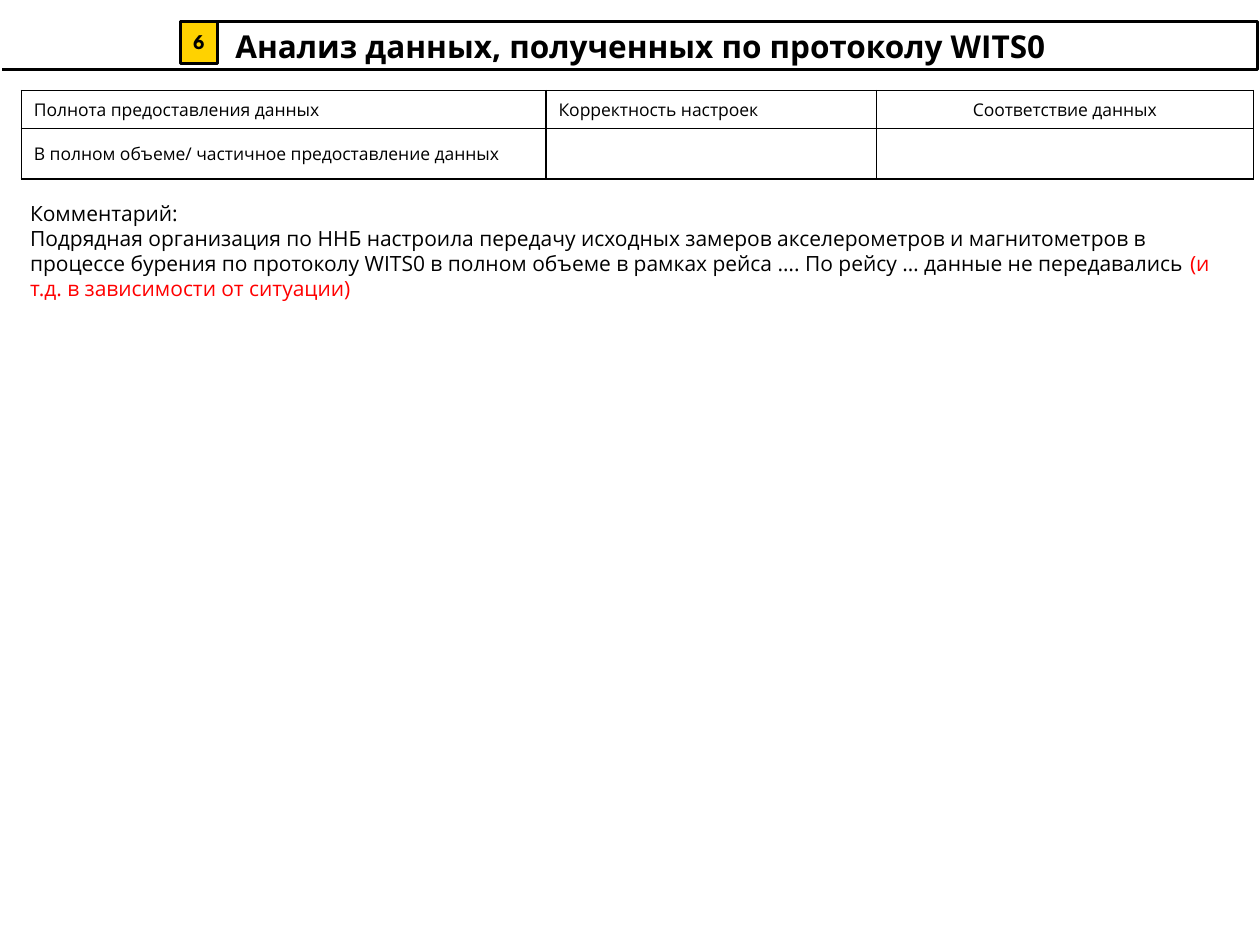
from lxml import etree
from pptx import Presentation
from pptx.dml.color import RGBColor
from pptx.enum.shapes import MSO_SHAPE
from pptx.enum.text import MSO_ANCHOR, MSO_AUTO_SIZE, PP_ALIGN
from pptx.oxml.ns import qn
from pptx.util import Pt

LEFT, MID, JUST = PP_ALIGN.LEFT, PP_ALIGN.CENTER, PP_ALIGN.JUSTIFY
BLACK, RED, GOLD = "000000", "FF0000", "FFD200"

NUMBER = "6"
TITLE = "Анализ данных, полученных по протоколу WITS0"
ROWS = [
    ["Полнота предоставления данных", "Корректность настроек", "Соответствие данных"],
    ["В полном объеме/ частичное предоставление данных", "", ""],
]
ALIGNS = [LEFT, LEFT, MID]
WIDTHS = [299.8, 188.8, 215.4]
ROW_H = 21.6
NOTE = [
    [("Комментарий:", BLACK)],
    [("Подрядная организация по ННБ настроила передачу исходных замеров "
      "акселерометров и магнитометров в процессе бурения по протоколу WITS0 "
      "в полном объеме в рамках рейса …. По рейсу … данные не передавались ", BLACK),
     ("(и т.д. в зависимости от ситуации)", RED)],
]
FRAME = [(103, 12.2), (718.6, 12.2), (718.6, 39.6), (1.4, 39.6)]


def color(code):
    return RGBColor.from_string(code)


def write(frame, paras, size=12, font="Open Sans", bold=False, align=LEFT):
    """Fill a text frame with paragraphs, each a list of (text, colour) runs."""
    frame.word_wrap = True
    for i, runs in enumerate(paras):
        para = frame.add_paragraph() if i else frame.paragraphs[0]
        para.alignment = align
        for text, code in runs:
            run = para.add_run()
            run.text = text
            run.font.size, run.font.name, run.font.bold = Pt(size), font, bold
            run.font.color.rgb = color(code)


def outline(shape):
    shape.shadow.inherit = False
    shape.line.color.rgb = color(BLACK)
    shape.line.width = Pt(1.5)


def border(cell):
    props = cell._tc.get_or_add_tcPr()
    for i, side in enumerate(("a:lnL", "a:lnR", "a:lnT", "a:lnB")):
        line = etree.Element(qn(side), w=str(Pt(1)))
        fill = etree.SubElement(line, qn("a:solidFill"))
        etree.SubElement(fill, qn("a:srgbClr"), val=BLACK)
        props.insert(i, line)


def box(shapes, left, top, width, height):
    return shapes.add_textbox(Pt(left), Pt(top), Pt(width), Pt(height)).text_frame


def header(shapes):
    points = [(Pt(x), Pt(y)) for x, y in FRAME]
    build = shapes.build_freeform(*points[0])
    build.add_line_segments(points[1:], close=False)
    frame = build.convert_to_shape()
    frame.fill.background()
    outline(frame)

    badge = shapes.add_shape(MSO_SHAPE.RECTANGLE, Pt(103), Pt(12.2), Pt(21.4), Pt(24))
    badge.fill.solid()
    badge.fill.fore_color.rgb = color(GOLD)
    outline(badge)
    text = badge.text_frame
    text.margin_left = text.margin_right = text.margin_bottom = Pt(1.4)
    text.margin_top = 0
    text.vertical_anchor = MSO_ANCHOR.MIDDLE
    write(text, [[(NUMBER, BLACK)]], font="League Spartan", bold=True, align=MID)

    title = box(shapes, 127.4, 14.4, 589, 23.8)
    title.vertical_anchor = MSO_ANCHOR.MIDDLE
    write(title, [[(TITLE, BLACK)]], size=18, bold=True)


def grid(shapes):
    table = shapes.add_table(len(ROWS), len(WIDTHS), Pt(12.2), Pt(51.8),
                             Pt(sum(WIDTHS)), Pt(ROW_H * len(ROWS))).table
    table.first_row = table.horz_banding = False
    for col, width in zip(table.columns, WIDTHS):
        col.width = Pt(width)
    for r, texts in enumerate(ROWS):
        table.rows[r].height = Pt(ROW_H)
        for c, text in enumerate(texts):
            cell = table.cell(r, c)
            cell.fill.background()
            cell.vertical_anchor = MSO_ANCHOR.MIDDLE
            border(cell)
            write(cell.text_frame, [[(text, BLACK)]], size=10, align=ALIGNS[c])


def main():
    deck = Presentation()
    deck.slide_width, deck.slide_height = Pt(720), Pt(540)
    shapes = deck.slides.add_slide(deck.slide_layouts[6]).shapes
    header(shapes)
    note = box(shapes, 10.1, 110.9, 700.6, 65.5)
    note.auto_size = MSO_AUTO_SIZE.SHAPE_TO_FIT_TEXT
    write(note, NOTE, align=JUST)
    note.paragraphs[1].alignment = LEFT
    grid(shapes)
    deck.save("out.pptx")


if __name__ == "__main__":
    main()
